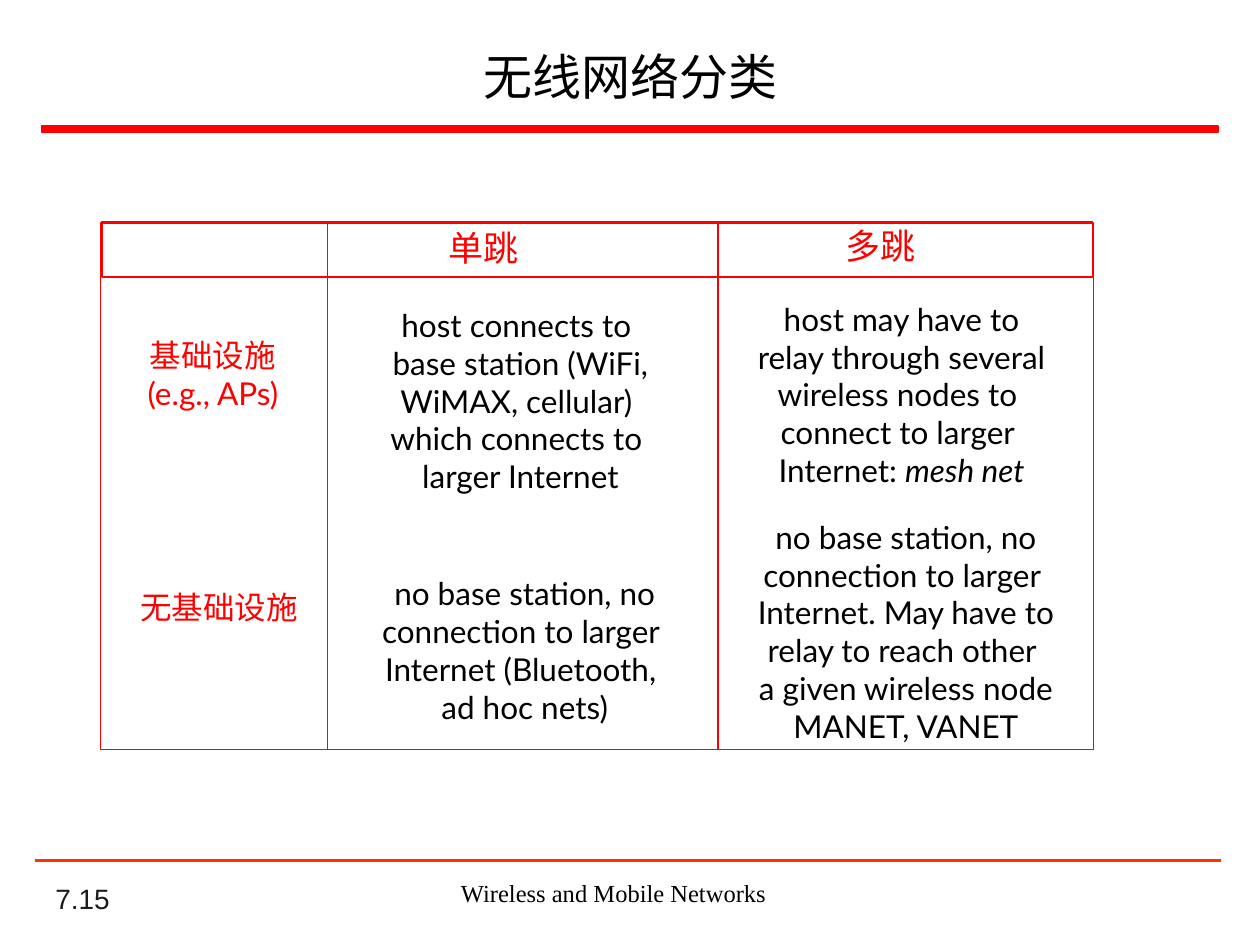
from dataclasses import dataclass

from pptx import Presentation
from pptx.dml.color import RGBColor
from pptx.enum.shapes import MSO_CONNECTOR, MSO_SHAPE
from pptx.enum.text import MSO_ANCHOR, PP_ALIGN
from pptx.oxml.ns import qn
from pptx.util import Inches, Pt
from lxml import etree

RECT = MSO_SHAPE.RECTANGLE
STRAIGHT = MSO_CONNECTOR.STRAIGHT
LEFT, CENTER = PP_ALIGN.LEFT, PP_ALIGN.CENTER
TOP, MIDDLE, BOTTOM = MSO_ANCHOR.TOP, MSO_ANCHOR.MIDDLE, MSO_ANCHOR.BOTTOM


@dataclass(frozen=True)
class Theme:
    red: RGBColor = RGBColor(0xFF, 0x00, 0x00)
    orange: RGBColor = RGBColor(0xFF, 0x33, 0x00)
    black: RGBColor = RGBColor(0x00, 0x00, 0x00)
    dark: RGBColor = RGBColor(0x1C, 0x1C, 0x1C)
    body_font: str = "Lato"
    number_font: str = "Arial"
    footer_font: str = "Times New Roman"
    title: int = 28
    heading: int = 20
    body: int = 18
    number: int = 16
    footer: int = 14


T = Theme()
HEADING = {"size": Pt(T.heading), "name": T.body_font, "color": T.red}
LABEL = {**HEADING, "size": Pt(T.body)}
BODY = {**LABEL, "color": T.black}
TITLE = {**BODY, "size": Pt(T.title)}
NUMBER = {"size": Pt(T.number), "name": T.number_font, "color": T.dark}
FOOTER = {"size": Pt(T.footer), "name": T.footer_font, "color": T.black}


@dataclass(frozen=True)
class Box:
    left: float
    top: float
    width: float
    height: float

    def inches(self) -> tuple:
        return tuple(Inches(v) for v in (self.left, self.top, self.width, self.height))


@dataclass(frozen=True)
class Label:
    box: Box
    lines: tuple
    style: dict
    align: PP_ALIGN = CENTER
    anchor: MSO_ANCHOR = TOP
    wrap: bool = False
    italic_end: str = ""


LABELS = (
    # Column headings
    Label(Box(3.46, 1.75, 0.76, 0.44), ("单跳",), HEADING, LEFT),
    Label(Box(6.61, 1.73, 0.76, 0.44), ("多跳",), HEADING, LEFT),
    # Row headings
    Label(Box(1.01, 2.62, 1.36, 0.71), ("基础设施", "(e.g., APs)"), LABEL),
    Label(Box(1.01, 4.62, 1.46, 0.4), ("无基础设施",), LABEL),
    # Infrastructure row
    Label(Box(2.99, 2.38, 2.28, 1.62),
          ("host connects to ", "base station (WiFi,", "WiMAX, cellular) ",
           "which connects to ", "larger Internet"), BODY),
    Label(Box(5.88, 2.33, 2.55, 1.62),
          ("host may have to", "relay through several", "wireless nodes to ",
           "connect to larger ", "Internet: "), BODY, italic_end="mesh net"),
    # No-infrastructure row
    Label(Box(2.91, 4.51, 2.51, 1.31),
          ("no base station, no", "connection to larger ",
           "Internet (Bluetooth, ", "ad hoc nets)"), BODY),
    Label(Box(5.88, 4.06, 2.62, 1.92),
          ("no base station, no", "connection to larger ", "Internet. May have to",
           "relay to reach other ", "a given wireless node", "MANET, VANET"), BODY),
    # Footer
    Label(Box(0.34, 6.98, 2.08, 0.33), ("7.15",), NUMBER, LEFT, BOTTOM, True),
    Label(Box(2.83, 6.92, 4.08, 0.34), ("Wireless and Mobile Networks",), FOOTER, wrap=True),
)

GRID_TOP, GRID_HEIGHT, HEADER_HEIGHT = 1.77, 4.18, 0.44
GRID_EDGES = (0.8, 2.6, 5.7, 8.68)


def add_run(p, text: str, style: dict, italic: bool = False) -> None:
    r = p.add_run()
    r.text = text
    for key, value in style.items():
        if key == "color":
            r.font.color.rgb = value
        else:
            setattr(r.font, key, value)
    if italic:
        r.font.italic = True


def fill_text(tf, label: Label) -> None:
    tf.word_wrap = label.wrap
    tf.vertical_anchor = label.anchor
    for i, line in enumerate(label.lines):
        p = tf.paragraphs[0] if i == 0 else tf.add_paragraph()
        p.alignment = label.align
        add_run(p, line, label.style)
    if label.italic_end:
        add_run(p, label.italic_end, label.style, italic=True)


def add_label(s, label: Label) -> None:
    fill_text(s.shapes.add_textbox(*label.box.inches()).text_frame, label)


def add_rect(s, box: Box, line_width: float, filled: bool = False) -> None:
    sp = s.shapes.add_shape(RECT, *box.inches())
    sp.shadow.inherit = False
    if filled:
        sp.fill.solid()
        sp.fill.fore_color.rgb = T.red
    else:
        sp.fill.background()
    sp.line.color.rgb = T.red
    sp.line.width = Pt(line_width)


def add_rule(s, left: float, right: float, y: float) -> None:
    line = s.shapes.add_connector(STRAIGHT, Inches(left), Inches(y), Inches(right), Inches(y))
    line.line.color.rgb = T.orange
    line.line.width = Pt(1.5)
    etree.SubElement(line._element.spPr, qn("a:effectLst"))


def main() -> None:
    prs = Presentation()
    prs.slide_width, prs.slide_height = Inches(10), Inches(7.5)
    s = prs.slides.add_slide(prs.slide_layouts[5])

    # Title and the rules above and below the content
    title = s.shapes.title
    box = Box(0.35, 0.25, 9.31, 0.7)
    title.left, title.top, title.width, title.height = box.inches()
    fill_text(title.text_frame, Label(box, ("无线网络分类",), TITLE, anchor=MIDDLE, wrap=True))
    add_rect(s, Box(0.33, 1, 9.34, 0.05), 1, filled=True)
    add_rule(s, 0.28, 9.69, 6.83)

    # Grid: header band, then one frame per column
    add_rect(s, Box(0.81, 1.76, 7.86, HEADER_HEIGHT), 0.75)
    for left, right in zip(GRID_EDGES, GRID_EDGES[1:]):
        add_rect(s, Box(left, GRID_TOP, right - left, GRID_HEIGHT), 0.75)

    for label in LABELS:
        add_label(s, label)

    prs.save("out.pptx")


if __name__ == "__main__":
    main()
